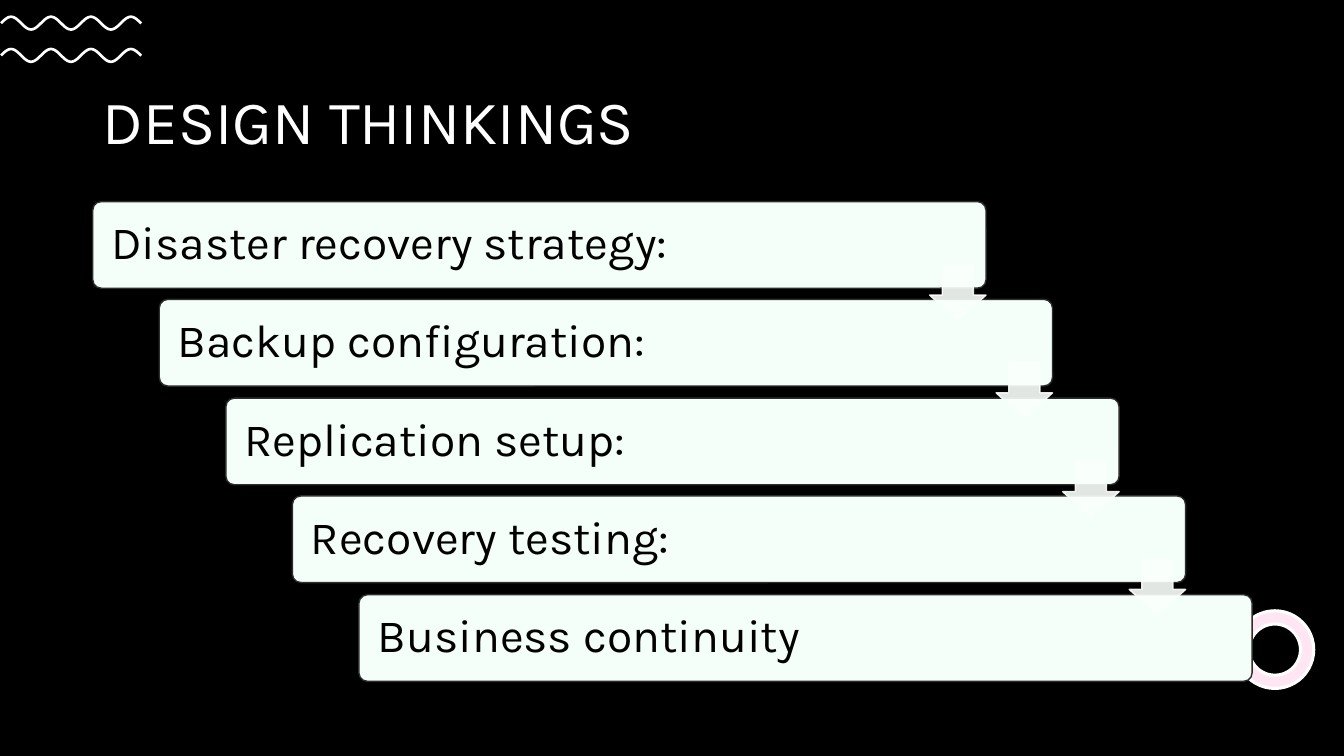
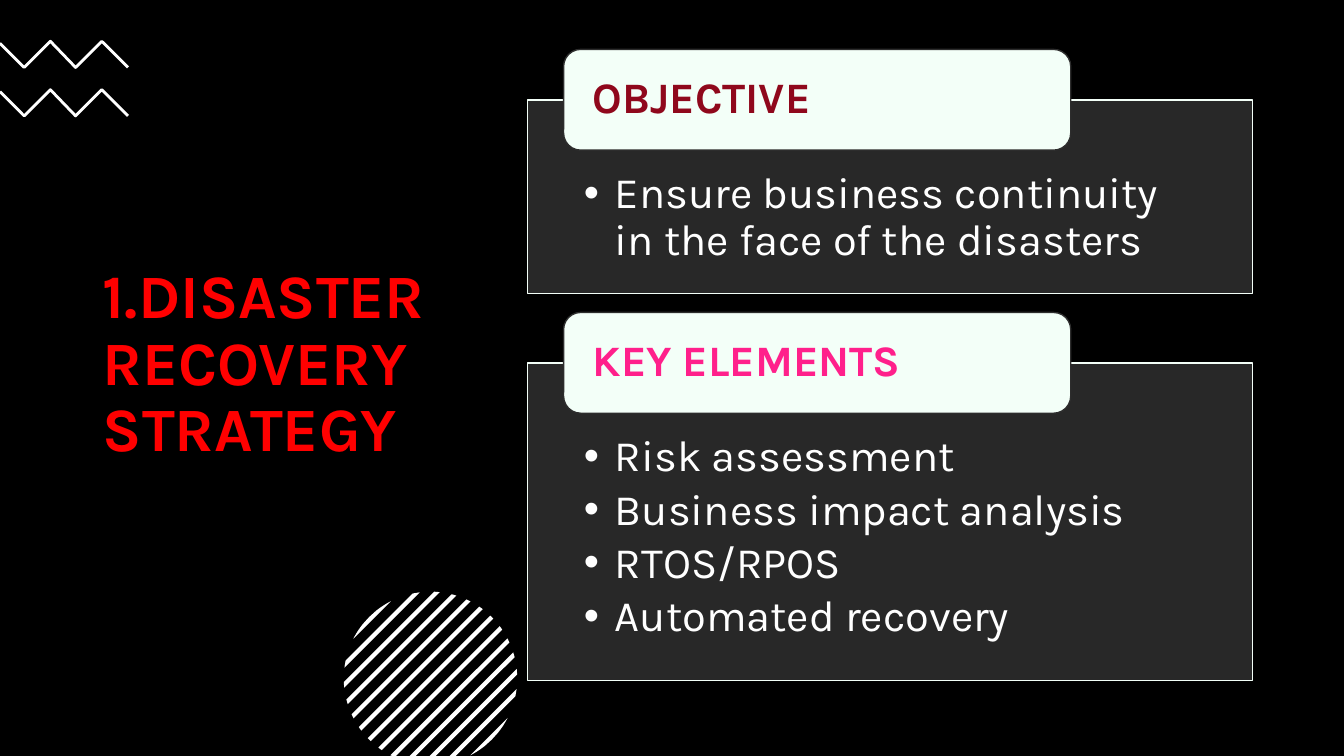
import math

from pptx import Presentation
from pptx import util as u
from pptx.dml.color import RGBColor
from pptx.enum import shapes, text
from pptx.oxml import parse_xml
from pptx.oxml.ns import nsdecls

PX = 9144  # EMU per px, 100 px to the inch
SLIDE_WIDTH, SLIDE_HEIGHT = 1333, 750

BLACK = RGBColor(0x00, 0x00, 0x00)
WHITE = RGBColor(0xFF, 0xFF, 0xFF)
MINT = RGBColor(0xF3, 0xFF, 0xF8)
ARROW_MINT = RGBColor(0xFA, 0xFF, 0xFC)
CHARCOAL = RGBColor(0x2D, 0x2D, 0x2D)
PALE_PINK = RGBColor(0xFF, 0xE6, 0xF2)
PINK = RGBColor(0xFF, 0x20, 0x8B)
RED = RGBColor(0xFF, 0x00, 0x00)
WINE = RGBColor(0x8F, 0x08, 0x1C)

TITLE_ONLY, TWO_CONTENT = 5, 3  # layouts of the default template


def px(length):
    return u.Emu(round(length * PX))


def write(frame, lines, size, color, bold=False, after=0, indent=0,
          insets=(10, 5, 10, 5), anchor=text.MSO_ANCHOR.MIDDLE):
    """Fill a text frame with one paragraph per line."""
    frame.word_wrap = True
    frame.auto_size = text.MSO_AUTO_SIZE.NONE
    frame.vertical_anchor = anchor
    (frame.margin_left, frame.margin_top,
     frame.margin_right, frame.margin_bottom) = map(px, insets)
    for index, line in enumerate(lines):
        paragraph = frame.add_paragraph() if index else frame.paragraphs[0]
        paragraph.alignment = text.PP_ALIGN.LEFT
        paragraph.line_spacing = 0.9
        paragraph.space_before = u.Pt(0)
        paragraph.space_after = u.Pt(after)
        if indent:
            properties = paragraph._p.get_or_add_pPr()
            properties.set("marL", str(px(indent)))
            properties.set("indent", str(-px(indent)))
        run = paragraph.add_run()
        run.text = line
        run.font.name = "Karla"
        run.font.size = u.Pt(size)
        run.font.bold = bold
        run.font.color.rgb = color


def set_opacity(shape, place, percent):
    for color in shape._element.spPr.xpath(place + "/a:srgbClr"):
        color.append(parse_xml(
            f'<a:alpha {nsdecls("a")} val="{percent * 1000}"/>'))


def paint(shape, fill=None, line=None, width=1, fill_opacity=100,
          line_opacity=100):
    if fill is None:
        shape.fill.background()
    else:
        shape.fill.solid()
        shape.fill.fore_color.rgb = fill
    if line is None:
        shape.line.fill.background()
    else:
        shape.line.color.rgb = line
        shape.line.width = u.Pt(width)
    if fill_opacity < 100:
        set_opacity(shape, "./a:solidFill", fill_opacity)
    if line_opacity < 100:
        set_opacity(shape, "./a:ln/a:solidFill", line_opacity)


class Deck:
    """Holds the presentation, its style and the current slide."""

    def __init__(self):
        self.presentation = Presentation()
        self.presentation.slide_width = px(SLIDE_WIDTH)
        self.presentation.slide_height = px(SLIDE_HEIGHT)
        self.slide = None

    def new_slide(self, layout):
        layouts = self.presentation.slide_layouts
        self.slide = self.presentation.slides.add_slide(layouts[layout])
        self.slide.background.fill.solid()
        self.slide.background.fill.fore_color.rgb = BLACK

    def placeholder(self, index, box):
        shape = self.slide.placeholders[index]
        shape.left, shape.top, shape.width, shape.height = map(px, box)
        return shape

    def title(self, words, box, color, bold=False):
        shape = self.placeholder(0, box)
        write(shape.text_frame, [words], size=44, color=color, bold=bold)

    def bullet_panel(self, index, items, box):
        shape = self.placeholder(index, box)
        paint(shape, CHARCOAL, MINT, fill_opacity=90)
        write(shape.text_frame, items, size=31, color=WHITE, after=4.6,
              indent=31, insets=(56, 71, 56, 24), anchor=text.MSO_ANCHOR.TOP)

    def shape(self, kind, box, adjustments=(), **style):
        shape = self.slide.shapes.add_shape(kind, *map(px, box))
        shape.shadow.inherit = False
        for index, value in enumerate(adjustments):
            shape.adjustments[index] = value
        paint(shape, **style)
        return shape

    def label(self, words, box, corner, inset, **style):
        shape = self.shape(shapes.MSO_SHAPE.ROUNDED_RECTANGLE, box, [corner],
                           fill=MINT, line=CHARCOAL)
        write(shape.text_frame, [words], insets=(inset, 0, inset, 0), **style)

    def outline(self, points, close=False, **style):
        (start_x, start_y), *rest = [(px(x), px(y)) for x, y in points]
        builder = self.slide.shapes.build_freeform(start_x, start_y)
        builder.add_line_segments(rest, close=close)
        shape = builder.convert_to_shape()
        shape.shadow.inherit = False
        paint(shape, **style)

    def wave(self, middle):
        points = [(x, middle - 6.3 * math.cos((x - 11) * math.tau / 39.6))
                  for x in range(1, 141)]
        self.outline(points, line=WHITE, width=1.9)

    def zigzag(self, top):
        points = [(x, top + 26 * (index % 2 == 1))
                  for index, x in enumerate((-2, 24, 50, 75, 101, 127))]
        points[0] = (0, top + 2)
        self.outline(points, line=WHITE, width=2)

    def striped_disc(self, center_x, center_y, radius):
        """Diagonal bands cut by a circle and by the foot of the slide."""
        reach = radius * math.sqrt(2)

        def rim(offset, side):
            angle = math.pi / 4 + side * math.acos(offset / reach)
            x = center_x + radius * math.cos(angle)
            y = center_y + radius * math.sin(angle)
            below = max(0, y - SLIDE_HEIGHT)
            return x + below, y - below

        for band in range(-6, 7):
            low = max(-reach, 19.8 * band - 3)
            high = min(reach, 19.8 * band + 3)
            offsets = [low + (high - low) * step / 8 for step in range(9)]
            points = ([rim(offset, 1) for offset in offsets]
                      + [rim(offset, -1) for offset in reversed(offsets)])
            self.outline(points, close=True, fill=WHITE)


def build_steps(deck):
    deck.new_slide(TITLE_ONLY)
    deck.title("DESIGN THINKINGS", (92, 62, 1150, 123), WHITE)
    for middle in (23, 55):
        deck.wave(middle)
    deck.shape(shapes.MSO_SHAPE.DONUT, (1226, 606, 77, 77), [0.17],
               fill=PALE_PINK, line=WHITE, width=2.25)

    # Staircase of steps, then the arrows between them
    steps = ["Disaster recovery strategy:", "Backup configuration:",
             "Replication setup:", "Recovery testing:", "Business continuity"]
    corners = [(92 + 66 * index, 200 + 195 * index // 2)
               for index in range(len(steps))]
    for words, (left, top) in zip(steps, corners):
        deck.label(words, (left, top, 886, 86), corner=0.1, inset=16,
                   size=33, color=BLACK)
    for left, top in corners[:-1]:
        deck.shape(shapes.MSO_SHAPE.DOWN_ARROW, (left + 830, top + 62, 56, 56),
                   [0.55, 0.45], fill=ARROW_MINT, line=ARROW_MINT,
                   fill_opacity=90, line_opacity=90)


def build_strategy(deck):
    deck.new_slide(TWO_CONTENT)
    deck.title("1.DISASTER RECOVERY STRATEGY", (92, 131, 350, 463), RED,
               bold=True)
    deck.striped_disc(427, 673, 86)
    for top in (41, 89):
        deck.zigzag(top)

    # Panels with a heading over the top edge
    panels = [
        ("OBJECTIVE", WINE, 99, 192,
         ["Ensure business continuity in the face of the disasters"]),
        ("KEY ELEMENTS", PINK, 360, 315,
         ["Risk assessment", "Business impact analysis", "RTOS/RPOS",
          "Automated recovery"]),
    ]
    for index, (heading, color, top, height, items) in enumerate(panels, 1):
        deck.bullet_panel(index, items, (523, top, 719, height))
        deck.label(heading, (559, top - 50, 503, 100), corner=0.17, inset=24,
                   size=31, color=color, bold=True)


def main():
    deck = Deck()
    build_steps(deck)
    build_strategy(deck)
    deck.presentation.save("out.pptx")


if __name__ == "__main__":
    main()
